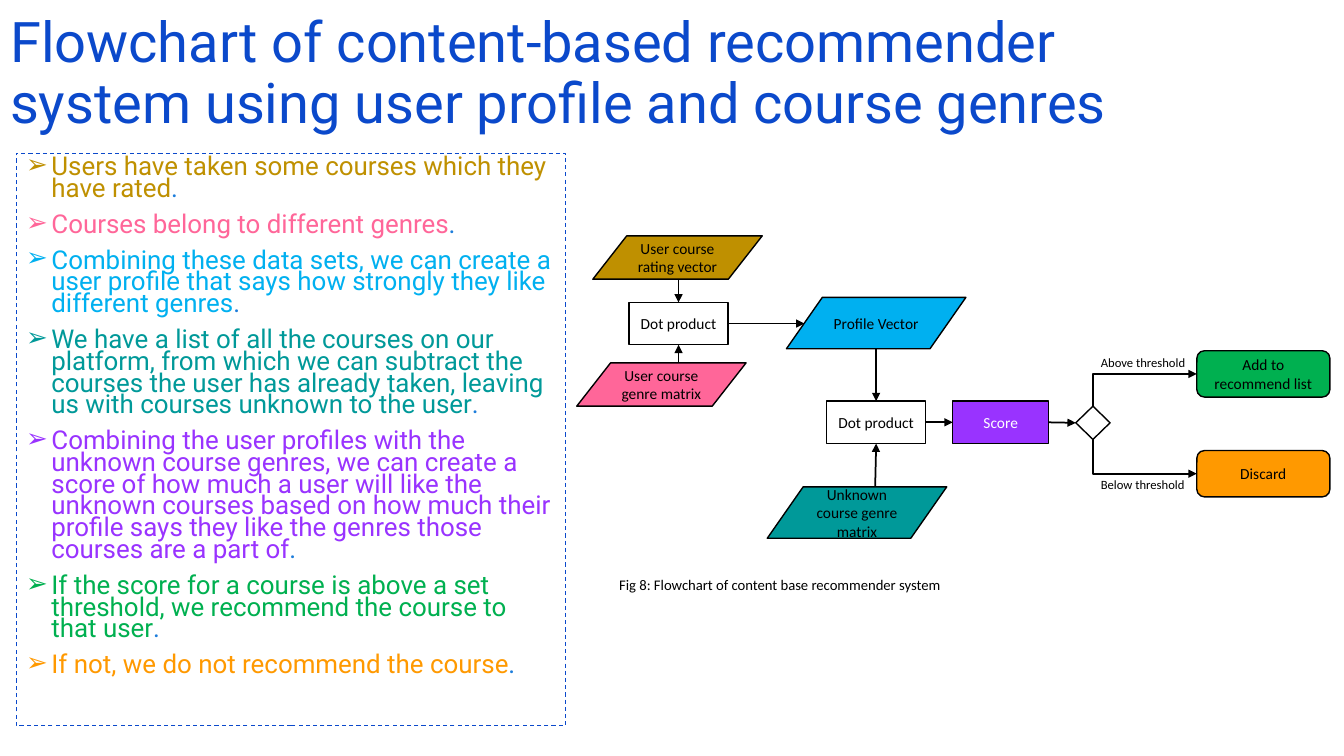
from lxml import etree
from pptx import Presentation, util as u
from pptx.dml.color import RGBColor
from pptx.enum import dml, shapes, text
from pptx.oxml.ns import qn

BLACK = RGBColor(0, 0, 0)
WHITE = RGBColor(255, 255, 255)
NAVY = RGBColor(0x0B, 0x49, 0xCB)
BLUE = RGBColor(0x1C, 0x7D, 0xDB)
GOLD = RGBColor(0xBF, 0x90, 0x00)
PINK = RGBColor(0xFF, 0x66, 0x99)
SKY = RGBColor(0x00, 0xB0, 0xF0)
TEAL = RGBColor(0x00, 0x99, 0x99)
PURPLE = RGBColor(0x99, 0x33, 0xFF)
GREEN = RGBColor(0x00, 0xB0, 0x50)
ORANGE = RGBColor(0xFF, 0x99, 0x00)

KIND = shapes.MSO_SHAPE
RECT, ROUND = KIND.RECTANGLE, KIND.ROUNDED_RECTANGLE
DATA, CHOICE = KIND.FLOWCHART_DATA, KIND.FLOWCHART_DECISION
TOP, LEFT, BOTTOM, RIGHT = range(4)

STEPS = [
    ("Users have taken some courses which they have rated", GOLD),
    ("Courses belong to different genres", PINK),
    ("Combining these data sets, we can create a user profile that says "
     "how strongly they like different genres", SKY),
    ("We have a list of all the courses on our platform, from which we can "
     "subtract the courses the user has already taken, leaving us with "
     "courses unknown to the user", TEAL),
    ("Combining the user profiles with the unknown course genres, we can "
     "create a score of how much a user will like the unknown courses based "
     "on how much their profile says they like the genres those courses are "
     "a part of", PURPLE),
    ("If the score for a course is above a set threshold, we recommend the "
     "course to that user", GREEN),
    ("If not, we do not recommend the course", ORANGE),
]


class Chart:
    head, body = "Roboto", "Calibri"

    def __init__(self, slide):
        self.slide = slide

    def place(self, item, x, y, w, h):
        item.left, item.top = u.Inches(x), u.Inches(y)
        item.width, item.height = u.Inches(w), u.Inches(h)

    def style(self, run, font, size, color):
        run.font.name, run.font.size = font, u.Pt(size)
        run.font.color.rgb = color

    def title(self, words, *box):
        item = self.slide.shapes.title
        self.place(item, *box)
        frame = item.text_frame
        frame.text = words
        frame.auto_size = text.MSO_AUTO_SIZE.NONE
        frame.vertical_anchor = text.MSO_ANCHOR.MIDDLE
        para = frame.paragraphs[0]
        para.alignment, para.line_spacing = text.PP_ALIGN.LEFT, 0.9
        self.style(para.runs[0], self.head, 40, NAVY)

    def bullets(self, steps, *box):
        item = self.slide.placeholders[1]
        self.place(item, *box)
        item.fill.solid()
        item.fill.fore_color.rgb = WHITE
        item.line.color.rgb, item.line.width = NAVY, u.Pt(0.75)
        item.line.dash_style = dml.MSO_LINE.DASH
        frame = item.text_frame
        frame.auto_size = text.MSO_AUTO_SIZE.NONE
        frame.text = "\n".join(words for words, color in steps)
        for para, (words, color) in zip(frame.paragraphs, steps):
            para.line_spacing, para.space_before = 0.7, u.Pt(10)
            self.style(para.runs[0], self.head, 18.5, color)
            stop = para.add_run()
            stop.text = "."
            self.style(stop, self.head, 18.5, BLUE)
            props = para._p.get_or_add_pPr()
            props.set("marL", str(u.Inches(0.25)))
            props.set("indent", str(-u.Inches(0.25)))
            etree.SubElement(props, qn("a:buChar"), char="➢")

    def node(self, kind, x, y, w, h, words="", fill=None, color=BLACK):
        item = self.slide.shapes.add_shape(kind, *map(u.Inches, (x, y, w, h)))
        item.shadow.inherit = False
        if fill is None:
            item.fill.background()
        else:
            item.fill.solid()
            item.fill.fore_color.rgb = fill
        item.line.color.rgb, item.line.width = BLACK, u.Pt(1)
        if words:
            frame = item.text_frame
            frame.text, frame.word_wrap = words, True
            frame.vertical_anchor = text.MSO_ANCHOR.MIDDLE
            para = frame.paragraphs[0]
            para.alignment = text.PP_ALIGN.CENTER
            self.style(para.runs[0], self.body, 11, color)
        return item

    def label(self, words, x, y, w, h, size, align=text.PP_ALIGN.LEFT):
        item = self.slide.shapes.add_textbox(*map(u.Inches, (x, y, w, h)))
        frame = item.text_frame
        frame.text, frame.word_wrap = words, True
        para = frame.paragraphs[0]
        para.alignment = align
        self.style(para.runs[0], self.body, size, BLACK)

    def link(self, start, end, bent=False):
        """Each end is an (x, y) point or a (shape, side) joint."""
        spots = [(0, 0) if hasattr(spot[0], "left") else
                 tuple(map(u.Inches, spot)) for spot in (start, end)]
        kind = shapes.MSO_CONNECTOR.ELBOW if bent else shapes.MSO_CONNECTOR.STRAIGHT
        line = self.slide.shapes.add_connector(kind, *spots[0], *spots[1])
        for spot, join in ((start, line.begin_connect), (end, line.end_connect)):
            if hasattr(spot[0], "left"):
                join(*spot)
        line.line.color.rgb, line.line.width = BLACK, u.Pt(1.25)
        props = line.element.spPr
        # A bent link runs back from the box, so its arrow sits at the start
        if bent:
            props.find(qn("a:prstGeom")).set("prst", "bentConnector2")
        tip = "a:headEnd" if bent else "a:tailEnd"
        etree.SubElement(props.find(qn("a:ln")), qn(tip), type="triangle")
        etree.SubElement(props, qn("a:effectLst"))


def main():
    deck = Presentation()
    deck.slide_width, deck.slide_height = u.Inches(13.33), u.Inches(7.5)
    c = Chart(deck.slides.add_slide(deck.slide_layouts[1]))

    # Title and list
    c.title("Flowchart of content-based recommender system using user "
            "profile and course genres", 0, 0.02, 11.5, 1.45)
    c.bullets(STEPS, 0.16, 1.52, 5.45, 5.68)

    # Inputs and products
    c.node(DATA, 5.88, 2.34, 1.68, 0.43, "User course rating vector", GOLD)
    c.node(DATA, 5.72, 3.6, 1.68, 0.43, "User course genre matrix", PINK)
    c.node(DATA, 7.8, 2.95, 1.78, 0.51, "Profile Vector", SKY)
    c.node(DATA, 7.61, 4.83, 1.78, 0.51, "Unknown course genre matrix", TEAL)
    first = c.node(RECT, 6.24, 3, 0.98, 0.42, "Dot product", WHITE)
    second = c.node(RECT, 8.2, 3.98, 0.98, 0.42, "Dot product", WHITE)

    # Score and outcome
    score = c.node(RECT, 9.45, 3.98, 0.95, 0.42, "Score", PURPLE, WHITE)
    test = c.node(CHOICE, 10.67, 4.03, 0.34, 0.33)
    add = c.node(ROUND, 11.87, 3.48, 1.32, 0.46, "Add to recommend list", GREEN)
    drop = c.node(ROUND, 11.87, 4.47, 1.32, 0.46, "Discard", ORANGE)

    # Arrows
    c.link((6.73, 2.78), (first, TOP))
    c.link((6.73, 3.6), (first, BOTTOM))
    c.link((first, RIGHT), (7.98, 3.21))
    c.link((8.69, 3.46), (second, TOP))
    c.link((8.68, 4.83), (second, BOTTOM))
    c.link((second, RIGHT), (score, LEFT))
    c.link((score, RIGHT), (test, LEFT))
    c.link((add, LEFT), (test, TOP), bent=True)
    c.link((drop, LEFT), (test, BOTTOM), bent=True)

    # Labels and caption
    c.label("Above threshold", 10.82, 3.47, 1.15, 0.25, 9)
    c.label("Below threshold", 10.82, 4.68, 1.15, 0.25, 9)
    c.label("Fig 8: Flowchart of content base recommender system",
            5.8, 5.66, 3.87, 0.28, 10.5, text.PP_ALIGN.CENTER)

    deck.save("out.pptx")


if __name__ == "__main__":
    main()
